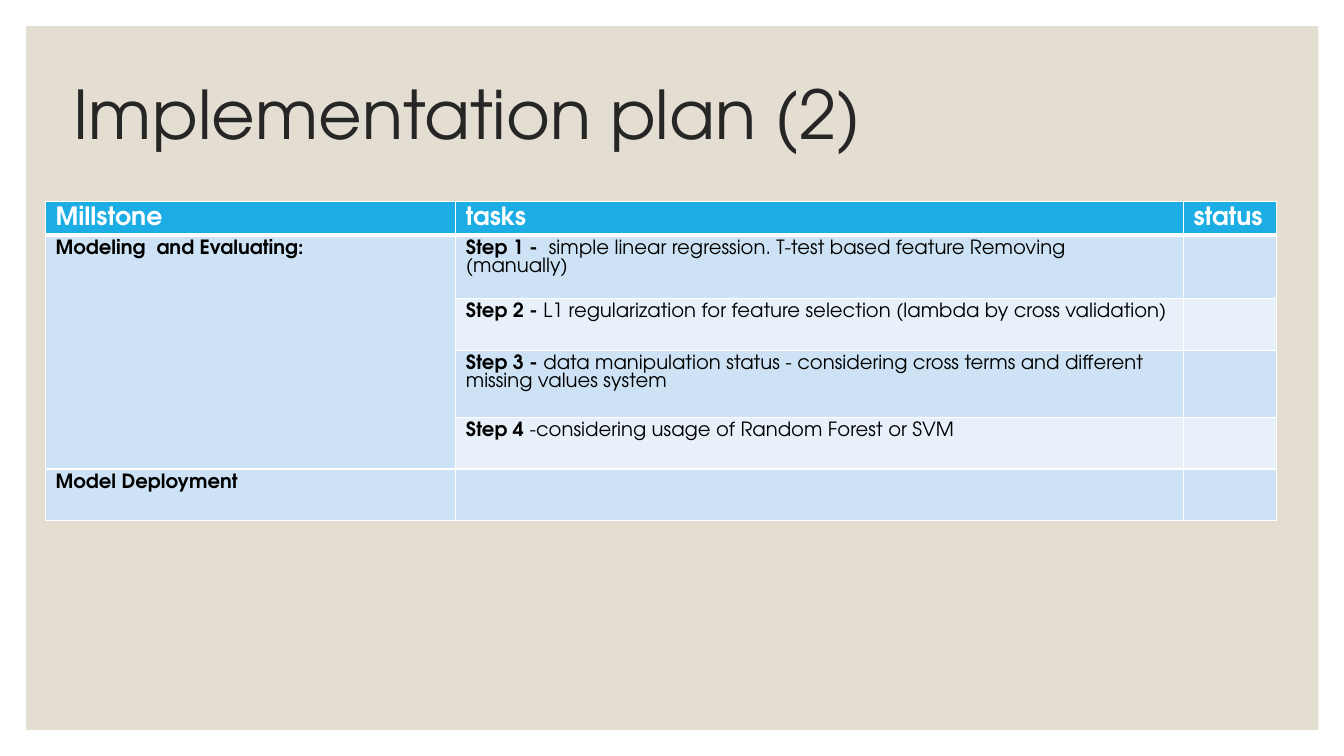
from lxml.etree import SubElement
from pptx import Presentation
from pptx.dml.color import RGBColor
from pptx.enum.shapes import MSO_SHAPE
from pptx.enum.text import MSO_ANCHOR
from pptx.oxml.ns import qn
from pptx.util import Pt

FONT = "TeX Gyre Adventor"
COLORS = {
    "panel": "E3DED1",
    "title": "262626",
    "header": "1CADE4",
    "odd": "CDE3F5",
    "even": "E8F1FA",
    "white": "FFFFFF",
    "black": "000000",
}
COLUMN_WIDTHS = [293, 519.8, 66.3]
ROW_HEIGHTS = [23.8, 45.5, 37, 47.7, 37, 37]
# Each cell is a pair: bold lead, regular rest
ROWS = [
    [("Millstone", ""), ("tasks", ""), ("status", "")],
    [("Modeling  and Evaluating:", ""),
     ("Step 1 -  ", "simple linear regression. T-test based feature Removing (manually)"),
     ("", "")],
    [("", ""),
     ("Step 2 - ", "L1 regularization for feature selection (lambda by cross validation)"),
     ("", "")],
    [("", ""),
     ("Step 3 - ", "data manipulation status - considering cross terms "
                   "and different missing values system"),
     ("", "")],
    [("", ""), ("Step 4", " -considering usage of Random Forest or SVM"), ("", "")],
    [("Model Deployment", ""), ("", ""), ("", "")],
]


def rgb(name):
    return RGBColor.from_string(COLORS[name])


def set_font(paragraph, size, color):
    font = paragraph.font
    font.name, font.size = FONT, Pt(size)
    font.color.rgb = rgb(color)


def add_panel(slide):
    panel = slide.shapes.add_shape(
        MSO_SHAPE.RECTANGLE, Pt(18.7), Pt(18.7), Pt(923), Pt(502.6))
    panel.shadow.inherit = False
    panel.fill.solid()
    panel.fill.fore_color.rgb = rgb("panel")
    panel.line.fill.background()


def add_title(slide, text):
    frame = slide.shapes.add_textbox(Pt(45.4), Pt(30.2), Pt(792), Pt(108)).text_frame
    frame.word_wrap = True
    frame.vertical_anchor = MSO_ANCHOR.MIDDLE
    paragraph = frame.paragraphs[0]
    paragraph.text = text
    paragraph.line_spacing = 0.9
    set_font(paragraph, 48, "title")


def set_borders(cell, bottom):
    """Draw white borders, 1 pt wide except for the bottom one."""
    properties = cell._tc.get_or_add_tcPr()
    sides = [("a:lnL", 1), ("a:lnR", 1), ("a:lnT", 1), ("a:lnB", bottom)]
    for index, (side, width) in enumerate(sides):
        line = SubElement(properties, qn(side), w=str(Pt(width)))
        fill = SubElement(line, qn("a:solidFill"))
        SubElement(fill, qn("a:srgbClr"), val=COLORS["white"])
        properties.insert(index, line)


def fill_cell(cell, lead, rest, is_header, background):
    cell.fill.solid()
    cell.fill.fore_color.rgb = rgb(background)
    set_borders(cell, 3 if is_header else 1)
    paragraph = cell.text_frame.paragraphs[0]
    paragraph.line_spacing = Pt(16.5 if is_header else 12.9)
    set_font(paragraph, 18 if is_header else 14, "white" if is_header else "black")
    for text, bold in ((lead, True), (rest, False)):
        if text:
            run = paragraph.add_run()
            run.text = text
            run.font.bold = bold


def add_plan_table(slide):
    plan = slide.shapes.add_table(
        len(ROWS), len(COLUMN_WIDTHS), Pt(32.6), Pt(144),
        Pt(sum(COLUMN_WIDTHS)), Pt(sum(ROW_HEIGHTS))).table
    for column, width in zip(plan.columns, COLUMN_WIDTHS):
        column.width = Pt(width)
    for row, height in zip(plan.rows, ROW_HEIGHTS):
        row.height = Pt(height)
    for r, row in enumerate(ROWS):
        background = "header" if r == 0 else "odd" if r % 2 else "even"
        for c, (lead, rest) in enumerate(row):
            fill_cell(plan.cell(r, c), lead, rest, r == 0, background)
    plan.cell(1, 0).merge(plan.cell(4, 0))


def main():
    deck = Presentation()
    deck.slide_width, deck.slide_height = Pt(960), Pt(540)
    slide = deck.slides.add_slide(deck.slide_layouts[6])
    add_panel(slide)
    add_title(slide, "Implementation plan (2)")
    add_plan_table(slide)
    deck.save("out.pptx")


if __name__ == "__main__":
    main()
